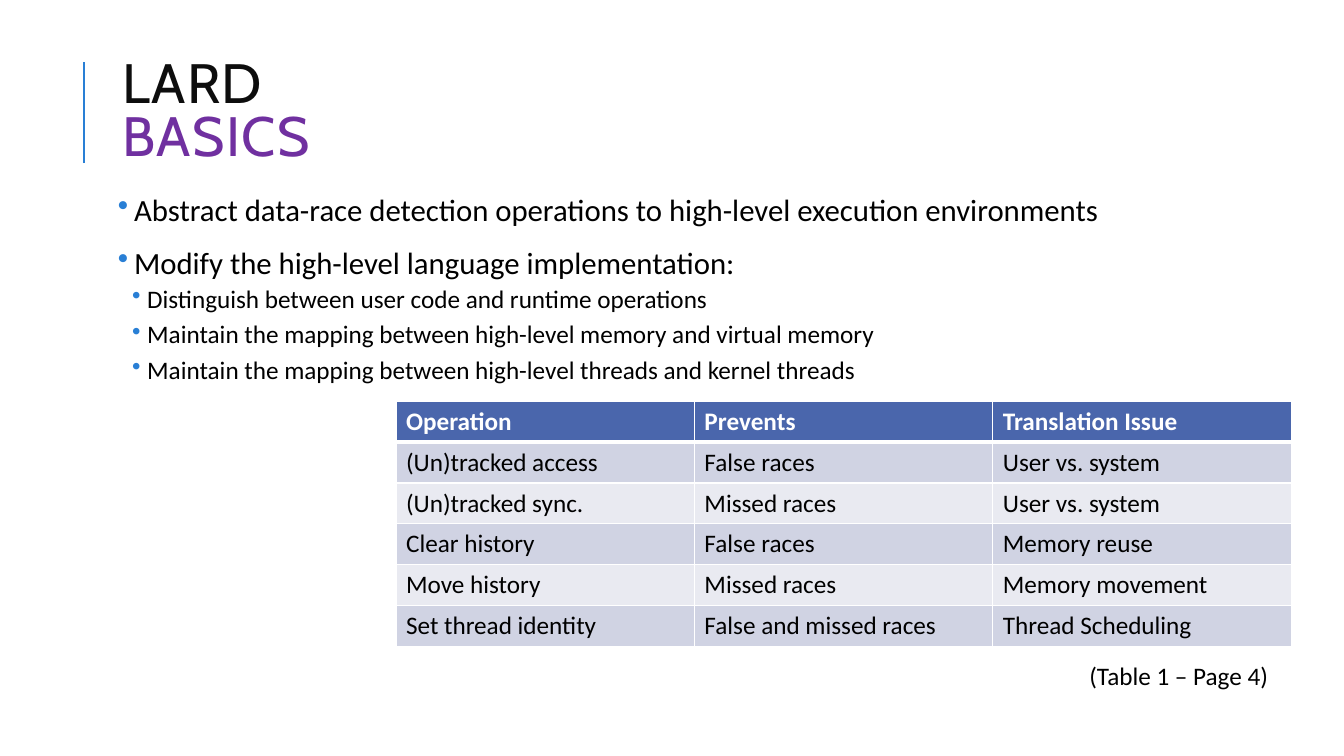
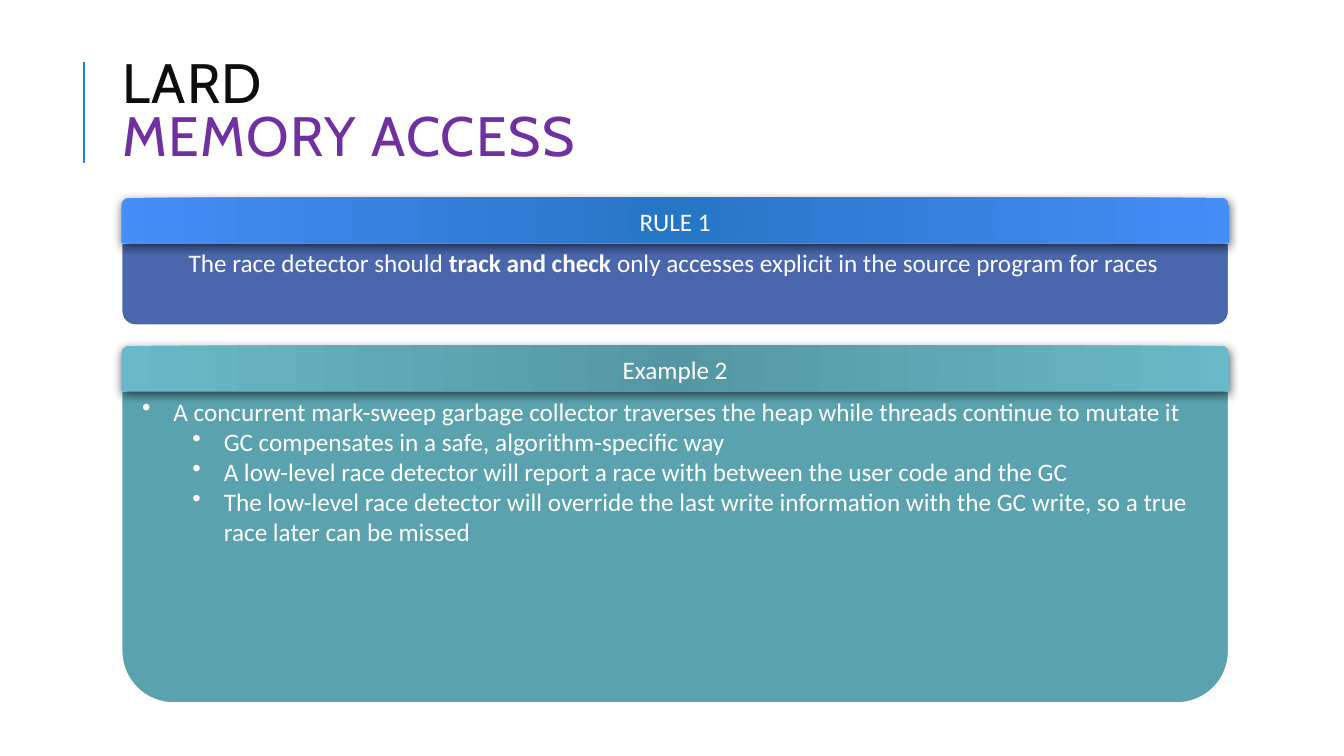
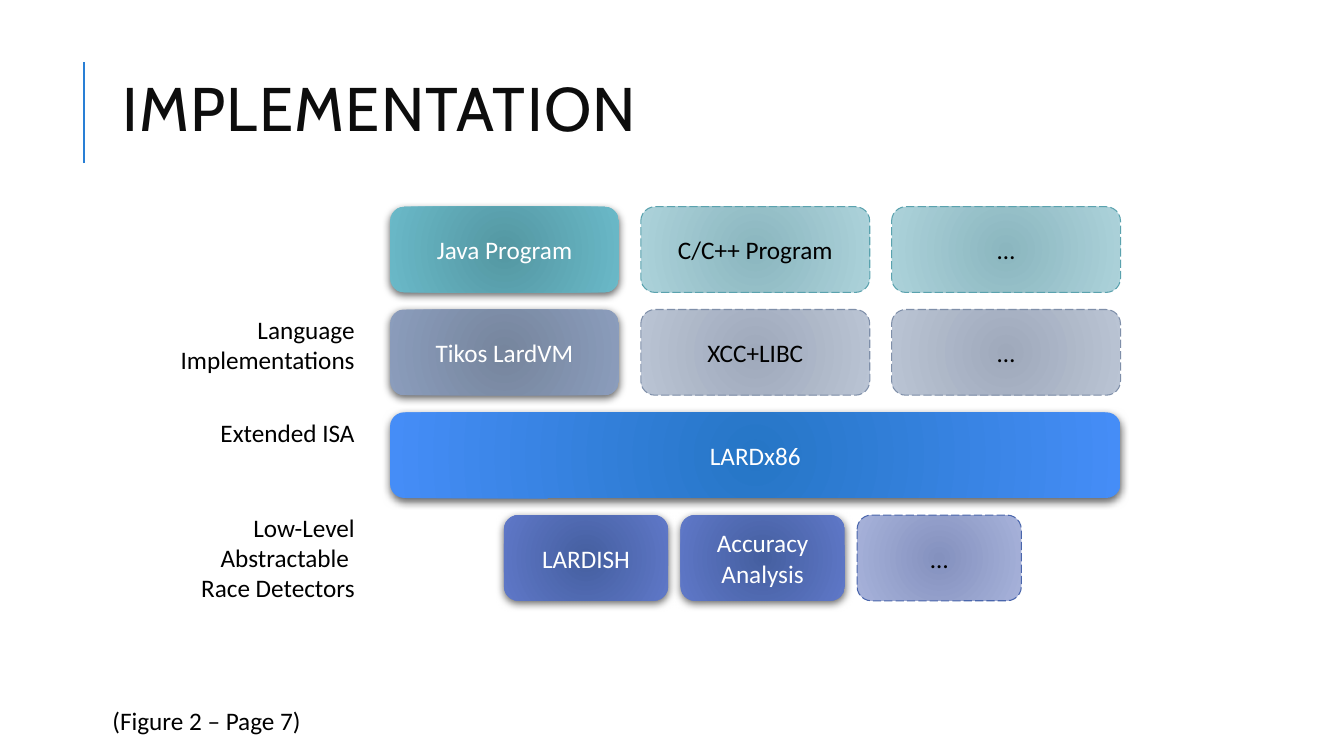
from dataclasses import dataclass

from lxml.etree import SubElement
from pptx import Presentation
from pptx.dml.color import RGBColor
from pptx.enum.dml import MSO_LINE
from pptx.enum.shapes import MSO_CONNECTOR, MSO_SHAPE
from pptx.enum.text import MSO_ANCHOR, PP_ALIGN
from pptx.oxml.ns import qn
from pptx.util import Cm, Pt


@dataclass(frozen=True)
class Theme:
    title_font: str = "Cabin"
    body_font: str = "Calibri"
    title_size: float = 44
    two_line_title_size: float = 39.6
    lead_size: float = 22
    text_size: float = 18
    title_ink: str = "0D0D0D"
    highlight: str = "7030A0"
    ink: str = "000000"
    paper: str = "FFFFFF"
    accent: str = "297FD5"
    indigo: str = "4A66AC"
    teal: str = "5AA2AE"
    slate: str = "7F8FA9"
    row_fills: tuple = ("D0D3E3", "E9EAF1")
    # Gradients run from the centre to the rim.
    blue_glow: tuple = ("2676C6", "458DF7")
    indigo_glow: tuple = ("455FA0", "5F78C8")
    teal_glow: tuple = ("5497A2", "6AB9C8")
    slate_glow: tuple = ("76859D", "8B9DBC")
    pale_indigo: tuple = ("8491BE", "A7B2DA")
    pale_teal: tuple = ("8BB6BF", "ACD2DA")
    pale_slate: tuple = ("9FA9BB", "BAC4D4")


THEME = Theme()
MARGIN = 2.84


def rgb(code):
    return RGBColor.from_string(code)


def cm(*lengths):
    return [Cm(length) for length in lengths]


def add_run(paragraph, words, size=THEME.text_size, color=THEME.ink,
            font=THEME.body_font, bold=False):
    run = paragraph.add_run()
    run.text = words
    run.font.name = font
    run.font.size = Pt(size)
    run.font.bold = bold
    run.font.color.rgb = rgb(color)
    return run


def add_bullet(paragraph, margin, hanging, color=None):
    properties = paragraph._p.get_or_add_pPr()
    properties.set("marL", str(Cm(margin)))
    properties.set("indent", str(-Cm(hanging)))
    if color:
        SubElement(SubElement(properties, qn("a:buClr")), qn("a:srgbClr"), val=color)
    SubElement(properties, qn("a:buChar"), char="•")


def add_text_box(slide, left, top, width, height):
    frame = slide.shapes.add_textbox(*cm(left, top, width, height)).text_frame
    frame.word_wrap = True
    return frame


def next_paragraph(frame, position):
    return frame.add_paragraph() if position else frame.paragraphs[0]


def add_note(slide, left, top, width, height, *lines):
    """Right-aligned text; each further line follows a line break."""
    paragraph = add_text_box(slide, left, top, width, height).paragraphs[0]
    paragraph.alignment = PP_ALIGN.RIGHT
    for position, line in enumerate(lines):
        if position:
            paragraph.add_line_break()
        add_run(paragraph, line)


def start_slide(deck, title, subtitle=None):
    """Blank slide with the accent rule and the one- or two-line title."""
    slide = deck.slides.add_slide(deck.slide_layouts[6])
    rule = slide.shapes.add_connector(MSO_CONNECTOR.STRAIGHT, *cm(2.11, 4.11, 2.11, 1.57))
    rule.line.color.rgb = rgb(THEME.accent)
    rule.line.width = Pt(1.5)
    SubElement(rule._element.spPr, qn("a:effectLst"))

    frame = add_text_box(slide, MARGIN, 1.63, 27, 2.49)
    frame.vertical_anchor = MSO_ANCHOR.MIDDLE
    heading = frame.paragraphs[0]
    heading.line_spacing = 0.8
    size = THEME.two_line_title_size if subtitle else THEME.title_size
    runs = [add_run(heading, title, size, THEME.title_ink, THEME.title_font)]
    if subtitle:
        heading.add_line_break()
        runs.append(add_run(heading, subtitle, size, THEME.highlight, THEME.title_font))
    for run in runs:
        run.font._element.set("spc", "100")
    return slide


def fill_radial(shape, center, rim):
    shape.fill.gradient()
    for stop, color, position in zip(shape.fill.gradient_stops, (center, rim), (0, 1)):
        stop.color.rgb = rgb(color)
        stop.position = position
    gradient = shape._element.spPr.find(qn("a:gradFill"))
    gradient.remove(gradient.find(qn("a:lin")))
    circle = SubElement(gradient, qn("a:path"), path="circle")
    SubElement(circle, qn("a:fillToRect"), dict.fromkeys("ltrb", "100000"))


def cast_shadow(shape):
    effects = shape._element.spPr.find(qn("a:effectLst"))
    shadow = SubElement(effects, qn("a:outerShdw"), blurRad=str(Pt(6)), dist=str(Pt(2)),
                        dir="5400000", algn="ctr", rotWithShape="0")
    tint = SubElement(shadow, qn("a:srgbClr"), val=THEME.ink)
    SubElement(tint, qn("a:alpha"), val="60000")


def add_block(slide, label, place, glow, dashed=None, outline=MSO_SHAPE.ROUNDED_RECTANGLE):
    """Labelled gradient block: shadowed, or flat with a dashed border colour."""
    block = slide.shapes.add_shape(outline, *cm(*place))
    block.shadow.inherit = False
    fill_radial(block, *glow)
    if dashed:
        block.line.color.rgb = rgb(dashed)
        block.line.width = Pt(0.75)
        block.line.dash_style = MSO_LINE.LONG_DASH
    else:
        block.line.fill.background()
        cast_shadow(block)
    block.text_frame.word_wrap = True
    block.text_frame.vertical_anchor = MSO_ANCHOR.MIDDLE
    paragraph = block.text_frame.paragraphs[0]
    paragraph.alignment = PP_ALIGN.CENTER
    add_run(paragraph, label, color=THEME.ink if dashed else THEME.paper)


def add_panel(slide, heading, top, body_height, glow, color, text_height):
    """Heading bar over a plain body; returns the body's text frame."""
    left, width, bar_height = 3.06, 27.91, 1.14
    body_top = top + bar_height
    body = slide.shapes.add_shape(MSO_SHAPE.ROUND_2_SAME_RECTANGLE,
                                  *cm(left, body_top, width, body_height))
    body.rotation = 180
    body.shadow.inherit = False
    body.fill.solid()
    body.fill.fore_color.rgb = rgb(color)
    body.line.color.rgb = rgb(THEME.paper)
    body.line.width = Pt(1.5)
    add_block(slide, heading, (left, top, width, bar_height), glow,
              outline=MSO_SHAPE.ROUND_2_SAME_RECTANGLE)
    return add_text_box(slide, 3.33, body_top, 27.28, text_height)


def set_borders(cell, top, bottom):
    properties = cell._tc.get_or_add_tcPr()
    for side, width in (("L", 1), ("R", 1), ("T", top), ("B", bottom)):
        border = SubElement(properties, qn(f"a:ln{side}"), w=str(Pt(width)))
        SubElement(SubElement(border, qn("a:solidFill")), qn("a:srgbClr"), val=THEME.paper)


def add_grid(slide, left, top, column_width, row_height, rows):
    table = slide.shapes.add_table(
        len(rows), len(rows[0]),
        *cm(left, top, column_width * len(rows[0]), row_height * len(rows))).table
    for row_number, row in enumerate(rows):
        table.rows[row_number].height = Cm(row_height)
        header = row_number == 0
        fill = THEME.indigo if header else THEME.row_fills[(row_number - 1) % 2]
        for column, words in enumerate(row):
            table.columns[column].width = Cm(column_width)
            cell = table.cell(row_number, column)
            set_borders(cell, 3 if row_number == 1 else 1, 3 if header else 1)
            cell.fill.solid()
            cell.fill.fore_color.rgb = rgb(fill)
            add_run(cell.text_frame.paragraphs[0], words,
                    color=THEME.paper if header else THEME.ink, bold=header)


def build_basics(deck):
    slide = start_slide(deck, "LARD", "BASICS")
    frame = add_text_box(slide, MARGIN, 4.78, 27, 12.78)
    frame.margin_left = frame.margin_right = Cm(0.13)
    frame.margin_top = frame.margin_bottom = Cm(0.13)
    points = [
        (0, "Abstract data-race detection operations to high-level execution environments"),
        (0, "Modify the high-level language implementation:"),
        (1, "Distinguish between user code and runtime operations"),
        (1, "Maintain the mapping between high-level memory and virtual memory"),
        (1, "Maintain the mapping between high-level threads and kernel threads"),
    ]
    # Per level: size, space before, space after, margin, hanging indent
    levels = [(THEME.lead_size, 12, 2, 0.41, 0.41), (THEME.text_size, 2, 4, 0.74, 0.38)]
    for position, (level, words) in enumerate(points):
        size, before, after, margin, hanging = levels[level]
        point = next_paragraph(frame, position)
        point.level = level
        point.line_spacing = 0.9
        point.space_before = Pt(before)
        point.space_after = Pt(after)
        add_bullet(point, margin, hanging, THEME.accent)
        add_run(point, words, size)

    add_grid(slide, 9.98, 10.11, 7.52, 1.03, [
        ("Operation", "Prevents", "Translation Issue"),
        ("(Un)tracked access", "False races", "User vs. system"),
        ("(Un)tracked sync.", "Missed races", "User vs. system"),
        ("Clear history", "False races", "Memory reuse"),
        ("Move history", "Missed races", "Memory movement"),
        ("Set thread identity", "False and missed races", "Thread Scheduling"),
    ])
    add_note(slide, 24.74, 16.51, 7.47, 1.02, "(Table 1 – Page 4)")


def build_memory_access(deck):
    slide = start_slide(deck, "LARD", "MEMORY ACCESS")
    frame = add_panel(slide, "RULE 1", 4.98, 2.08, THEME.blue_glow, THEME.indigo, 1.02)
    rule = frame.paragraphs[0]
    rule.alignment = PP_ALIGN.CENTER
    add_run(rule, "The race detector should ", color=THEME.paper)
    add_run(rule, "track and check ", color=THEME.paper, bold=True)
    add_run(rule, "only accesses explicit in the source program for races", color=THEME.paper)

    frame = add_panel(slide, "Example 2", 8.71, 7.87, THEME.teal_glow, THEME.teal, 4.11)
    points = [
        (0, "A concurrent mark-sweep garbage collector traverses the heap while threads "
            "continue to mutate it"),
        (1, "GC compensates in a safe, algorithm-specific way"),
        (1, "A low-level race detector will report a race with between the user code and the GC"),
        (1, "The low-level race detector will override the last write information with the "
            "GC write, so a true race later can be missed"),
    ]
    for position, (level, words) in enumerate(points):
        point = next_paragraph(frame, position)
        point.level = level
        add_bullet(point, 0.79 + 1.27 * level, 0.79)
        add_run(point, words, color=THEME.paper)


def build_implementation(deck):
    slide = start_slide(deck, "IMPLEMENTATION")
    left, block_width, column_step = 9.83, 5.77, 6.32
    detector_left, detector_width, detector_step = 12.7, 4.14, 4.45
    block_height = 2.16
    programs, languages, isa, detectors = [5.21 + 2.59 * row for row in range(4)]

    # Per row: top, left, width, step, solid gradient, pale gradient, border, solid count, labels
    layers = [
        (programs, left, block_width, column_step, THEME.teal_glow, THEME.pale_teal,
         THEME.teal, 1, ("Java Program", "C/C++ Program", "…")),
        (languages, left, block_width, column_step, THEME.slate_glow, THEME.pale_slate,
         THEME.slate, 1, ("Tikos LardVM", "XCC+LIBC", "…")),
        (isa, left, 2 * column_step + block_width, 0, THEME.blue_glow, None,
         None, 1, ("LARDx86",)),
        (detectors, detector_left, detector_width, detector_step, THEME.indigo_glow,
         THEME.pale_indigo, THEME.indigo, 2, ("LARDISH", "Accuracy Analysis", "…")),
    ]
    for top, start, width, step, glow, pale, border, solid_count, labels in layers:
        for column, label in enumerate(labels):
            place = (start + step * column, top, width, block_height)
            if column < solid_count:
                add_block(slide, label, place, glow)
            else:
                add_block(slide, label, place, pale, border)

    label_width = 6.35
    add_note(slide, MARGIN, languages, label_width, 1.8, "Language Implementations")
    add_note(slide, MARGIN, isa, label_width, 1.02, "Extended ISA")
    add_note(slide, MARGIN, detectors - 0.2, label_width, 2.57,
             "Low-Level Abstractable ", "Race Detectors")
    add_note(slide, 0.36, 17.65, 7.47, 1.02, "(Figure 2 – Page 7)")


def main():
    deck = Presentation()
    deck.slide_width, deck.slide_height = cm(33.87, 19.05)
    build_basics(deck)
    build_memory_access(deck)
    build_implementation(deck)
    deck.save("out.pptx")


if __name__ == "__main__":
    main()
